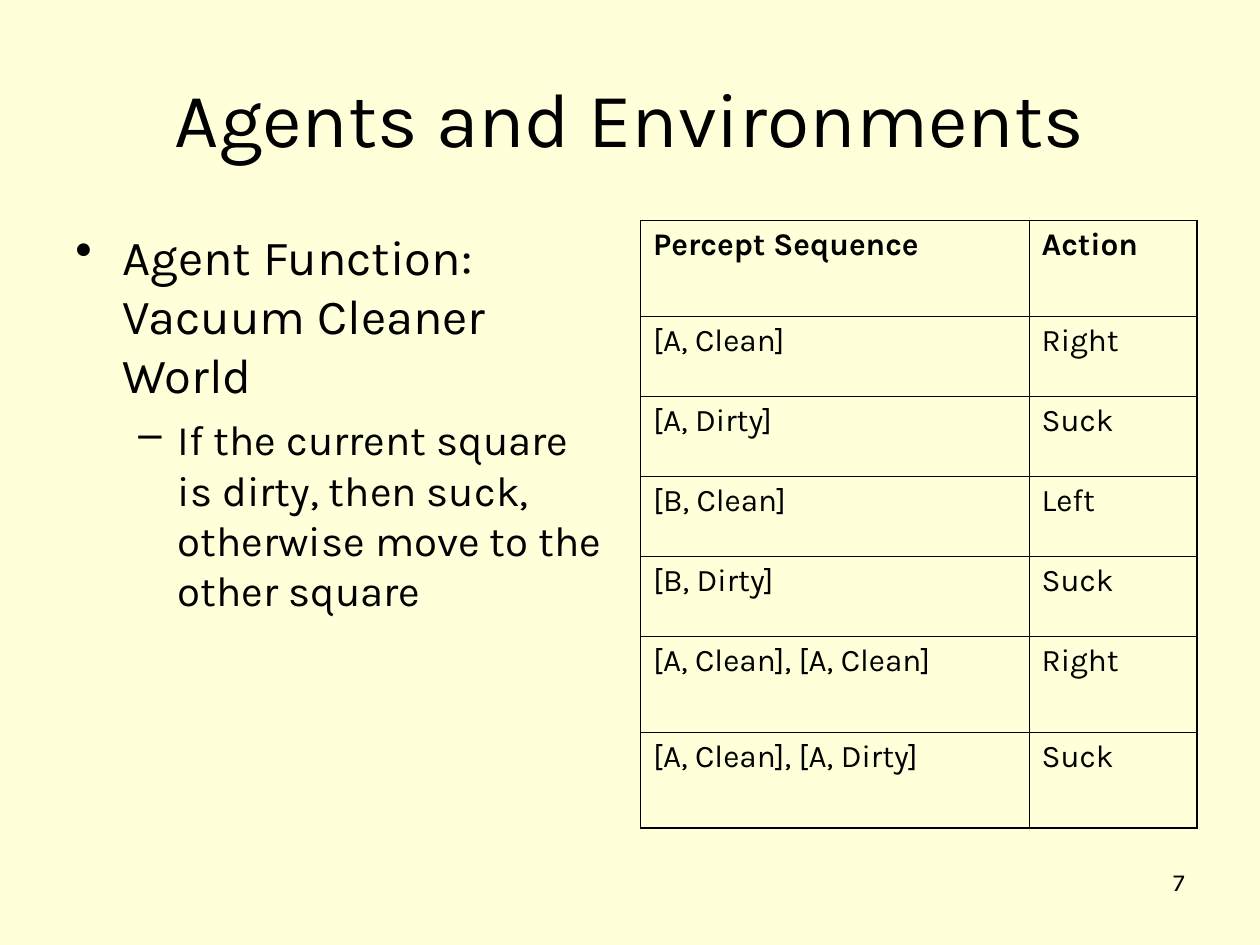
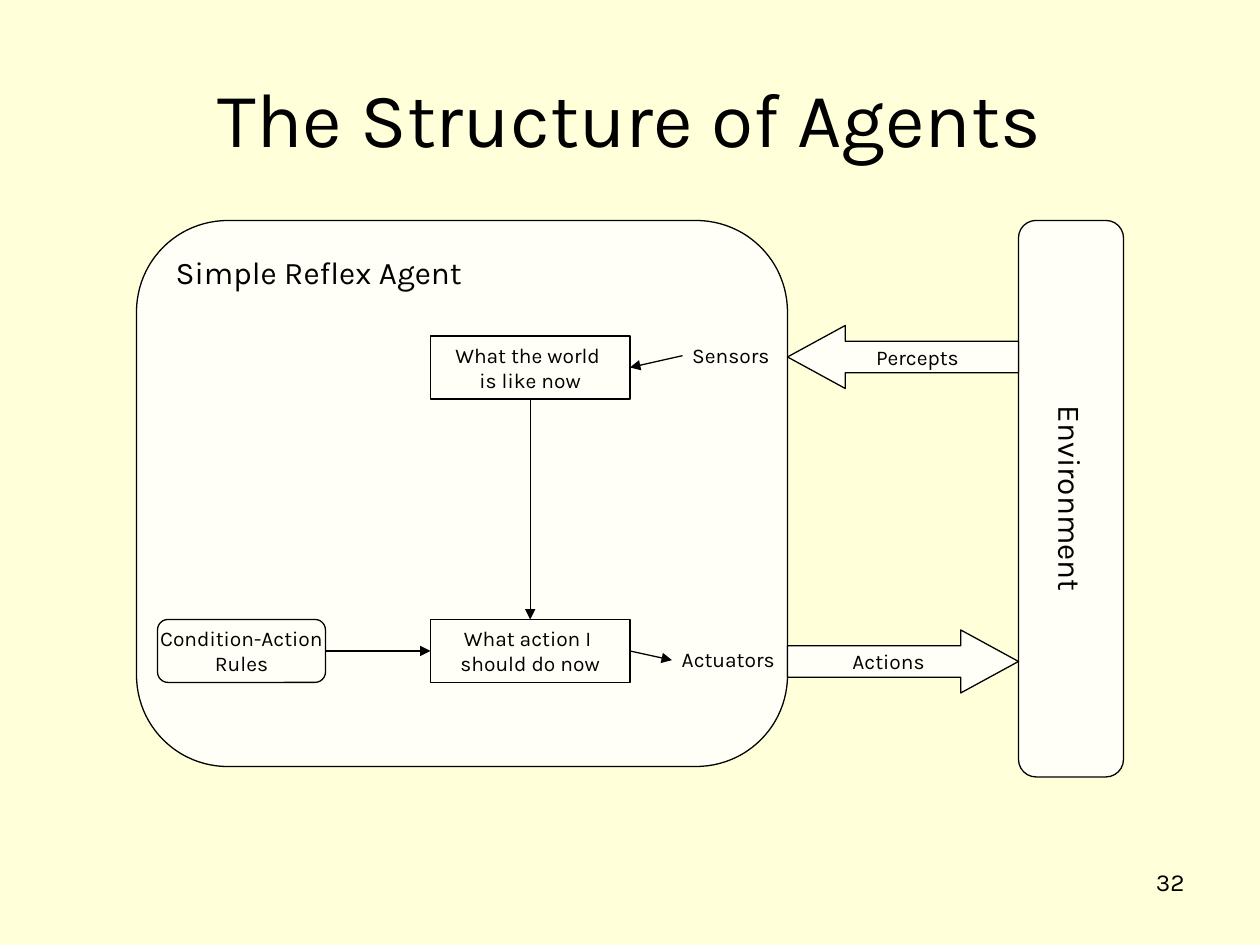
"""Builds two slides on agents: a percept table and a simple reflex agent diagram."""
from lxml.etree import SubElement
from pptx import Presentation
from pptx.dml.color import RGBColor
from pptx.enum.shapes import MSO_CONNECTOR as Connector, MSO_SHAPE as Shape
from pptx.enum.text import MSO_ANCHOR as Anchor, MSO_AUTO_SIZE as AutoSize, PP_ALIGN as Align
from pptx.oxml import parse_xml
from pptx.oxml.ns import nsdecls, qn
from pptx.util import Emu, Pt

CREAM = RGBColor(0xFF, 0xFF, 0xD9)
IVORY = RGBColor(0xFF, 0xFF, 0xF7)
BLACK = RGBColor(0x00, 0x00, 0x00)
FONT = "Karla"
LINE_WIDTH = Pt(0.75)
OUTER_BORDER, INNER_BORDER = Pt(1.08), Pt(0.45)
CORNER = 0.167
LEFT, BOTTOM, RIGHT, TOP = 1, 2, 3, 0

AGENT_FUNCTION = [
    ("Agent Function: Vacuum Cleaner World", "•", 28, 36, 36, 0),
    ("If the current square is dirty, then suck, otherwise move to the other square",
     "–", 24, 78, 30, 6),
]
PERCEPT_ROWS = [
    ("Percept Sequence", "Action"),
    ("[A, Clean]", "Right"),
    ("[A, Dirty]", "Suck"),
    ("[B, Clean]", "Left"),
    ("[B, Dirty]", "Suck"),
    ("[A, Clean], [A, Clean]", "Right"),
    ("[A, Clean], [A, Dirty]", "Suck"),
]
COLUMN_WIDTHS = (296, 128)
ROW_HEIGHTS = (73, 61, 61, 61, 61, 73, 73)


def px(length):
    """Turn px, 96 to the inch, into EMU."""
    return Emu(length * 9525)


def format_runs(paragraph, size, bold=False):
    """Give every run of a paragraph the shared font."""
    for run in paragraph.runs:
        run.font.name = FONT
        run.font.size = Pt(size)
        run.font.bold = bold
        run.font.color.rgb = BLACK


def fill_text(frame, text, size, align, anchor):
    """Write text into a frame and format all its paragraphs."""
    frame.text = text
    frame.vertical_anchor = anchor
    for paragraph in frame.paragraphs:
        paragraph.alignment = align
        format_runs(paragraph, size)


def add_text(slide, box, text, size, align=Align.LEFT, anchor=Anchor.TOP, wrap=True):
    """Add a text box; one that does not wrap fits its text."""
    frame = slide.shapes.add_textbox(*map(px, box)).text_frame
    frame.word_wrap = wrap
    frame.auto_size = AutoSize.NONE if wrap else AutoSize.SHAPE_TO_FIT_TEXT
    fill_text(frame, text, size, align, anchor)


def add_base_slide(presentation, title, number):
    """Add a slide with the shared background, page number and title."""
    slide = presentation.slides.add_slide(presentation.slide_layouts[6])
    slide.background.fill.solid()
    slide.background.fill.fore_color.rgb = CREAM
    add_text(slide, (688, 656, 224, 50), str(number), 14, Align.RIGHT)
    add_text(slide, (48, 29, 864, 120), title, 44, Align.CENTER, Anchor.MIDDLE)
    return slide


def add_bullets(slide, box, items):
    """Add a text box of bulleted paragraphs with hanging indents."""
    frame = slide.shapes.add_textbox(*map(px, box)).text_frame
    frame.word_wrap = True
    for index, (text, bullet, size, margin, hanging, space) in enumerate(items):
        paragraph = frame.add_paragraph() if index else frame.paragraphs[0]
        properties = paragraph._p.get_or_add_pPr()
        properties.set("marL", str(px(margin)))
        properties.set("indent", str(px(-hanging)))
        SubElement(properties, qn("a:buChar")).set("char", bullet)
        paragraph.text = text
        paragraph.space_before = Pt(space)
        format_runs(paragraph, size)


def set_borders(cell, widths):
    """Draw the left, right, top and bottom borders of a cell."""
    properties = cell._tc.get_or_add_tcPr()
    for index, (side, width) in enumerate(zip("LRTB", widths)):
        properties.insert(index, parse_xml(
            f'<a:ln{side} {nsdecls("a")} w="{width}"><a:solidFill>'
            f'<a:srgbClr val="{BLACK}"/></a:solidFill></a:ln{side}>'))


def add_table(slide, left, top, rows):
    """Add a plain ruled table with a bold header row."""
    box = (left, top, sum(COLUMN_WIDTHS), sum(ROW_HEIGHTS))
    table = slide.shapes.add_table(len(rows), len(COLUMN_WIDTHS), *map(px, box)).table
    table.first_row = table.horz_banding = False
    for column, width in zip(table.columns, COLUMN_WIDTHS):
        column.width = px(width)
    for row, height in zip(table.rows, ROW_HEIGHTS):
        row.height = px(height)
    last_row, last_column = len(rows) - 1, len(COLUMN_WIDTHS) - 1
    for row_index, texts in enumerate(rows):
        for column_index, text in enumerate(texts):
            cell = table.cell(row_index, column_index)
            cell.text = text
            format_runs(cell.text_frame.paragraphs[0], 18, bold=row_index == 0)
            cell.fill.background()
            edges = (column_index == 0, column_index == last_column,
                     row_index == 0, row_index == last_row)
            set_borders(cell, [OUTER_BORDER if edge else INNER_BORDER for edge in edges])


def add_block(slide, kind, box, text, size=12, align=Align.CENTER, anchor=Anchor.MIDDLE,
              adjustments=()):
    """Add an ivory outlined shape with a label."""
    shape = slide.shapes.add_shape(kind, *map(px, box))
    for index, value in enumerate(adjustments):
        shape.adjustments[index] = value
    shape.shadow.inherit = False
    shape.fill.solid()
    shape.fill.fore_color.rgb = IVORY
    shape.line.color.rgb = BLACK
    shape.line.width = LINE_WIDTH
    shape.text_frame.word_wrap = False
    fill_text(shape.text_frame, text, size, align, anchor)
    return shape


def add_arrow(slide, start, end, source=None, target=None):
    """Add an arrow, joined to (shape, side) pairs where given."""
    arrow = slide.shapes.add_connector(Connector.STRAIGHT, *map(px, start + end))
    if source:
        arrow.begin_connect(*source)
    if target:
        arrow.end_connect(*target)
    arrow.line.color.rgb = BLACK
    arrow.line.width = LINE_WIDTH
    SubElement(arrow.line._get_or_add_ln(), qn("a:tailEnd")).set("type", "triangle")
    SubElement(arrow._element.spPr, qn("a:effectLst"))


def build_percept_slide(presentation):
    """Build the slide with the agent function and its table."""
    slide = add_base_slide(presentation, "Agents and Environments", 7)
    add_bullets(slide, (48, 168, 424, 475), AGENT_FUNCTION)
    add_table(slide, 488, 168, PERCEPT_ROWS)


def build_structure_slide(presentation):
    """Build the diagram of the simple reflex agent."""
    slide = add_base_slide(presentation, "The Structure of Agents", 32)
    add_block(slide, Shape.ROUNDED_RECTANGLE, (104, 168, 496, 416), "Simple Reflex Agent", 18,
              Align.LEFT, Anchor.TOP, [CORNER])
    environment = add_block(slide, Shape.ROUNDED_RECTANGLE, (604, 340, 424, 80),
                            "Environment", 18, adjustments=[CORNER])
    environment.rotation = 90
    for kind, top, label in ((Shape.LEFT_ARROW, 248, "Percepts"),
                             (Shape.RIGHT_ARROW, 480, "Actions")):
        add_block(slide, kind, (600, top, 176, 48), label, adjustments=[0.5, 0.917])

    world = add_block(slide, Shape.RECTANGLE, (328, 256, 152, 48),
                      "What the world \nis like now")
    action = add_block(slide, Shape.RECTANGLE, (328, 472, 152, 48),
                       "What action I \nshould do now")
    rules = add_block(slide, Shape.ROUNDED_RECTANGLE, (120, 472, 128, 48),
                      "Condition-Action\nRules", adjustments=[CORNER])
    add_text(slide, (518, 256, 79, 29), "Sensors", 12, wrap=False)
    add_text(slide, (510, 488, 91, 29), "Actuators", 12, wrap=False)

    add_arrow(slide, (520, 271), (480, 280), target=(world, RIGHT))
    add_arrow(slide, (480, 496), (512, 503), source=(action, RIGHT))
    add_arrow(slide, (404, 304), (404, 472), (world, BOTTOM), (action, TOP))
    add_arrow(slide, (248, 496), (328, 496), (rules, RIGHT), (action, LEFT))


def main():
    """Build and save the presentation."""
    presentation = Presentation()
    presentation.slide_width, presentation.slide_height = px(960), px(720)
    build_percept_slide(presentation)
    build_structure_slide(presentation)
    presentation.save("out.pptx")


if __name__ == "__main__":
    main()
